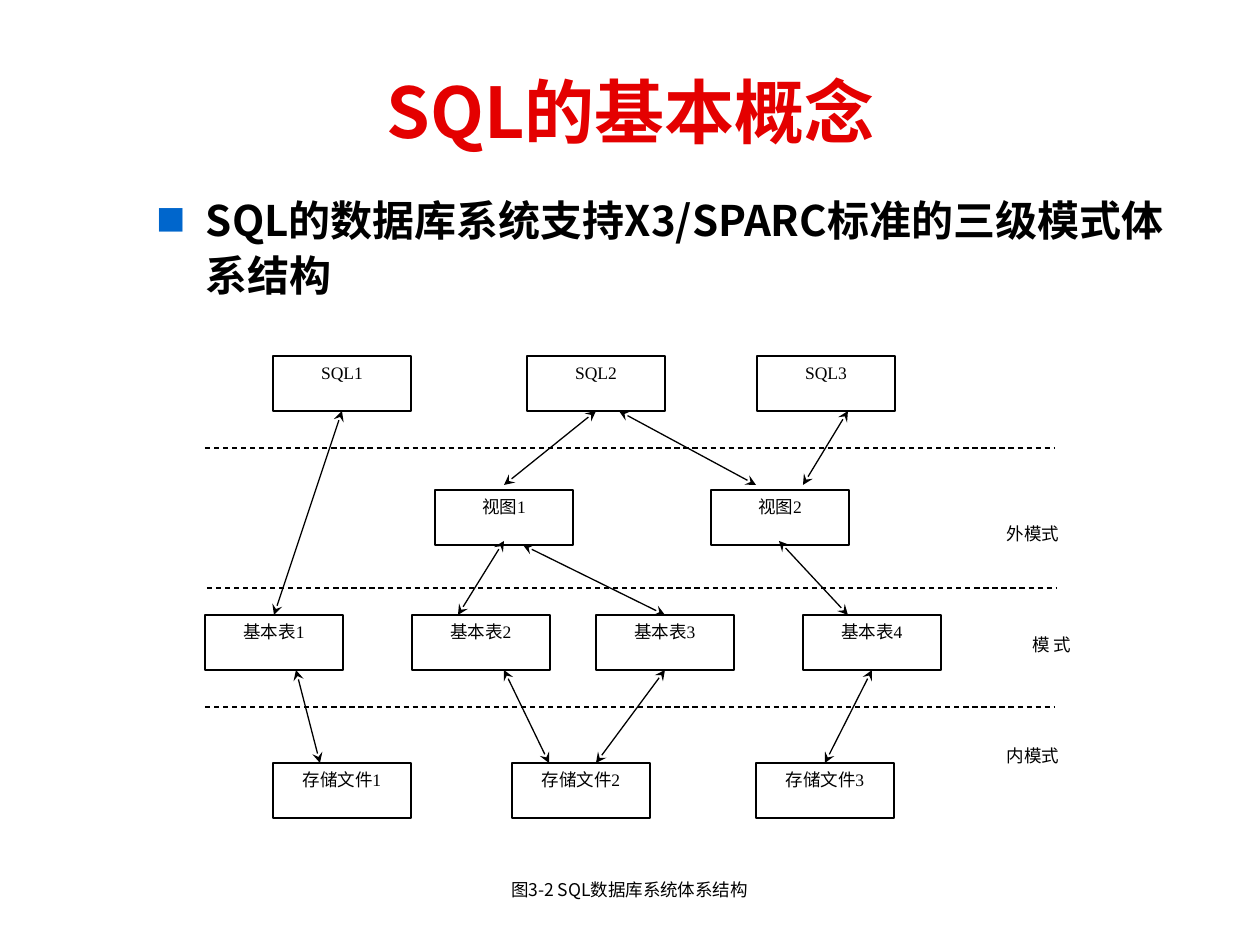
from lxml.etree import SubElement
from pptx import Presentation
from pptx.dml.color import RGBColor
from pptx.enum.dml import MSO_LINE
from pptx.enum.shapes import MSO_CONNECTOR, MSO_SHAPE
from pptx.enum.text import MSO_ANCHOR, PP_ALIGN
from pptx.oxml.ns import qn
from pptx.util import Emu, Pt

SANS = "Noto Sans CJK SC"
SERIF = "Times New Roman"
BLACK, WHITE, RED, BLUE = "000000", "FFFFFF", "E40000", "0066CC"
BOX_W, BOX_H = 138, 55
TOP, BOTTOM = 0, 2


def px(n):
    return Emu(round(n * 914400 / 126))


def color(value):
    return RGBColor.from_string(value)


class Deck:
    def __init__(self, width, height):
        self.prs = Presentation()
        self.prs.slide_width, self.prs.slide_height = px(width), px(height)
        self.s = None

    def slide(self):
        self.s = self.prs.slides.add_slide(self.prs.slide_layouts[5])

    def frame(self, sp, side=13, edge=6, anchor=MSO_ANCHOR.TOP):
        tf = sp.text_frame
        tf.word_wrap = True
        tf.vertical_anchor = anchor
        tf.margin_left = tf.margin_right = px(side)
        tf.margin_top = tf.margin_bottom = px(edge)
        return tf.paragraphs[0]

    def run(self, p, text, size, font, fill=BLACK, bold=False):
        r = p.add_run()
        r.text = text
        r.font.size, r.font.name, r.font.bold = Pt(size), font, bold
        r.font.color.rgb = color(fill)
        SubElement(r.font._element, qn("a:ea"), typeface=SANS)

    def title(self, text, x, y, w, h):
        sp = self.s.shapes.title
        sp.left, sp.top, sp.width, sp.height = map(px, (x, y, w, h))
        p = self.frame(sp, anchor=MSO_ANCHOR.MIDDLE)
        p.alignment = PP_ALIGN.CENTER
        self.run(p, text, 40, SANS, RED, True)

    def bullet(self, text, x, y, w, h):
        p = self.frame(self.s.shapes.add_textbox(*map(px, (x, y, w, h))))
        p.line_spacing = 1.1
        pPr = p._p.get_or_add_pPr()
        pPr.set("marL", str(px(49)))
        pPr.set("indent", str(px(-49)))
        SubElement(SubElement(pPr, qn("a:buClr")), qn("a:srgbClr"), val=BLUE)
        SubElement(pPr, qn("a:buSzPct"), val="70000")
        SubElement(pPr, qn("a:buFont"), typeface=SANS)
        SubElement(pPr, qn("a:buChar"), char="■")
        self.run(p, text, 24, SANS, BLACK, True)

    def rect(self, text, x, y, w, h, side=13, edge=6, font=SERIF, outline=True):
        sp = self.s.shapes.add_shape(MSO_SHAPE.RECTANGLE, *map(px, (x, y, w, h)))
        sp.shadow.inherit = False
        sp.fill.solid()
        sp.fill.fore_color.rgb = color(WHITE)
        if outline:
            sp.line.color.rgb = color(BLACK)
            sp.line.width = Pt(0.75)
        else:
            sp.line.fill.background()
        p = self.frame(sp, side, edge)
        p.alignment = PP_ALIGN.CENTER
        self.run(p, text, 10, font)
        return sp

    def line(self, x1, y1, x2, y2):
        c = self.s.shapes.add_connector(MSO_CONNECTOR.STRAIGHT, *map(px, (x1, y1, x2, y2)))
        c.line.color.rgb = color(BLACK)
        c.line.width = Pt(0.75)
        SubElement(c._element.spPr, qn("a:effectLst"))
        return c

    def divider(self, x, y, w):
        self.line(x, y, x + w, y).line.dash_style = MSO_LINE.DASH

    def arrow(self, x1, y1, x2, y2, begin=None, end=None):
        c = self.line(x1, y1, x2, y2)
        ln = c.line._get_or_add_ln()
        for tag in ("a:headEnd", "a:tailEnd"):
            SubElement(ln, qn(tag), type="stealth")
        if begin:
            c.begin_connect(begin, BOTTOM)
        if end:
            c.end_connect(end, TOP)


def main():
    deck = Deck(1260, 945)
    deck.slide()
    deck.title("SQL的基本概念", 42, 32, 1177, 157)
    deck.bullet("SQL的数据库系统支持X3/SPARC标准的三级模式体系结构", 144, 183, 1043, 649)

    rows = [
        ("SQL", 356, 13, (273, 527, 757)),
        ("视图", 490, 13, (435, 711)),
        ("基本表", 615, 13, (205, 412, 596, 803)),
        ("存储文件", 763, 0, (273, 512, 756)),
    ]
    box = {}
    for name, y, side, lefts in rows:
        for i, x in enumerate(lefts, 1):
            text = f"{name}{i}"
            box[text] = deck.rect(text, x, y, BOX_W, BOX_H, side)

    for x, y in ((205, 448), (207, 588), (205, 707)):
        deck.divider(x, y, 850)

    for text, y, w, h in (("外模式", 523, 92, 37), ("模 式", 634, 130, 47), ("内模式", 745, 92, 37)):
        deck.rect(text, 987, y, w, h, 0, 0, outline=False)

    for x1, y1, x2, y2, begin, end in (
        (342, 411, 274, 615, "SQL1", "基本表1"),
        (596, 411, 504, 485, "SQL2", None),
        (619, 411, 756, 485, None, None),
        (848, 411, 803, 485, None, None),
        (504, 541, 458, 615, None, None),
        (523, 545, 665, 615, None, "基本表3"),
        (779, 541, 848, 615, None, None),
        (296, 670, 320, 763, None, None),
        (504, 670, 549, 763, None, None),
        (665, 670, 596, 763, "基本表3", None),
        (872, 670, 825, 763, "基本表4", "存储文件3"),
    ):
        deck.arrow(x1, y1, x2, y2, box.get(begin), box.get(end))

    deck.rect("图3-2 SQL数据库系统体系结构", 342, 873, 575, 55, font=SANS, outline=False)
    deck.prs.save("out.pptx")


if __name__ == "__main__":
    main()
